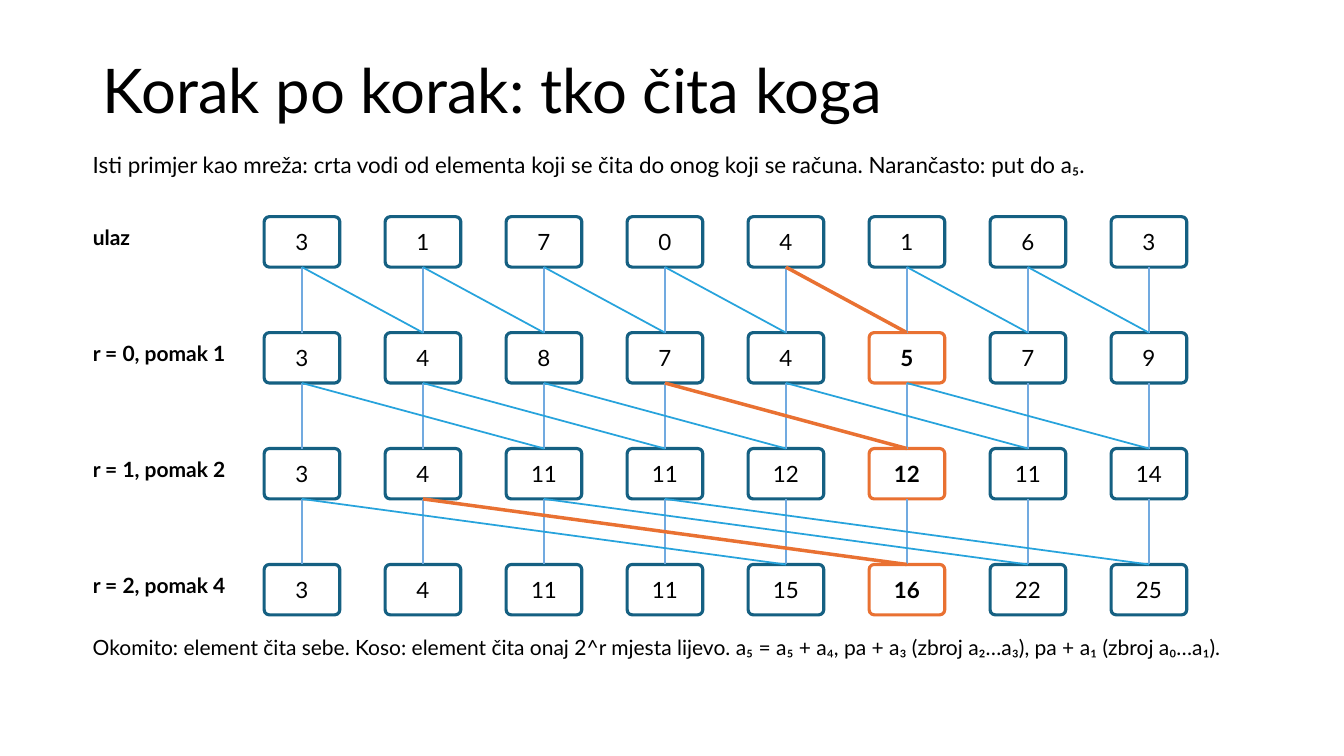
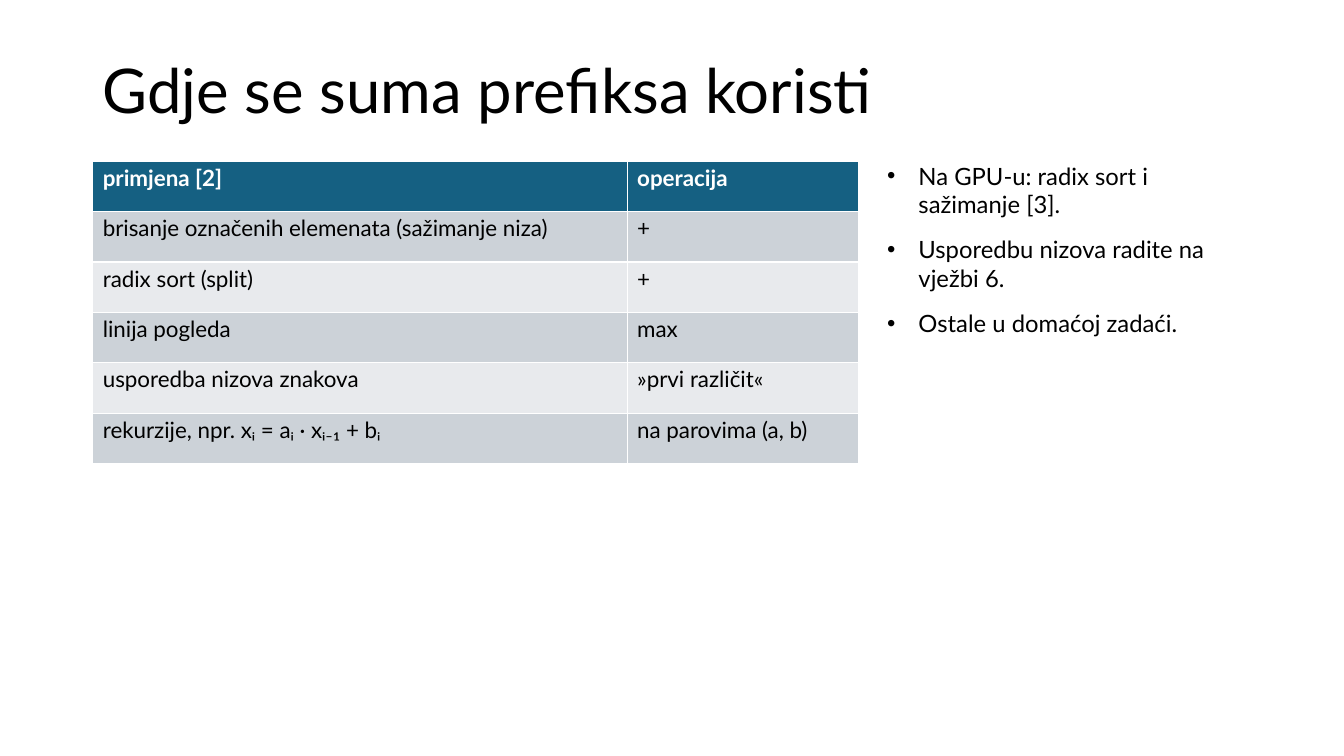
from dataclasses import dataclass

from lxml.etree import SubElement
from pptx import Presentation
from pptx.dml.color import RGBColor
from pptx.enum.shapes import MSO_CONNECTOR, MSO_SHAPE
from pptx.enum.text import MSO_ANCHOR, PP_ALIGN
from pptx.oxml.ns import qn
from pptx.util import Inches, Pt

COLORS = {
    "text": "000000", "white": "FFFFFF", "node": "156082", "path": "E97132",
    "self": "71AAE0", "read": "27A3DC", "band_dark": "CCD2D8", "band_light": "E8EAED",
}
FONT = "Lato"
LEFT, WIDTH = 0.92, 11.5
NO_INSETS = (0, 0, 0, 0)
TITLE_INSETS = (0.1, 0.05, 0.1, 0.05)
NODE_INSETS = (0.03, 0.05, 0.03, 0.05)
CELL_INSETS = (0.1, 0.03, 0.1, 0.03)

INPUT = [3, 1, 7, 0, 4, 1, 6, 3]
STEPS = 3
TARGET = 5  # column whose reads are highlighted

USES = [
    ("primjena [2]", "operacija"),
    ("brisanje označenih elemenata (sažimanje niza)", "+"),
    ("radix sort (split)", "+"),
    ("linija pogleda", "max"),
    ("usporedba nizova znakova", "»prvi različit«"),
    ("rekurzije, npr. xᵢ = aᵢ · xᵢ₋₁ + bᵢ", "na parovima (a, b)"),
]
BULLETS = [
    "Na GPU-u: radix sort i sažimanje [3].",
    "Usporedbu nizova radite na vježbi 6.",
    "Ostale u domaćoj zadaći.",
]


@dataclass(frozen=True)
class Grid:
    left: float = 2.62
    top: float = 2.15
    col_step: float = 1.2
    row_step: float = 1.15
    node_w: float = 0.75
    node_h: float = 0.5

    def x(self, col: int) -> float:
        return self.left + col * self.col_step

    def y(self, row: int) -> float:
        return self.top + row * self.row_step

    def center(self, col: int) -> float:
        return self.x(col) + self.node_w / 2


@dataclass(frozen=True)
class Stroke:
    color: str
    width: float


NODE = Stroke("node", 2.25)
PATH_NODE = Stroke("path", 2.25)
SELF = Stroke("self", 1)
READ = Stroke("read", 1.25)
PATH_READ = Stroke("path", 2.5)
GRID = Grid()


def rgb(name: str) -> RGBColor:
    return RGBColor.from_string(COLORS[name])


def set_insets(target, insets: tuple) -> None:
    for side, value in zip(("left", "top", "right", "bottom"), insets):
        setattr(target, f"margin_{side}", Inches(value))


def set_stroke(line, stroke: Stroke) -> None:
    line.color.rgb = rgb(stroke.color)
    line.width = Pt(stroke.width)


def write(p, text: str, size: float, color: str = "text", bold: bool = False) -> None:
    r = p.add_run()
    r.text = text
    for name, value in {"name": FONT, "size": Pt(size), "bold": bold}.items():
        setattr(r.font, name, value)
    r.font.color.rgb = rgb(color)


def add_frame(slide, x: float, y: float, w: float, h: float, insets: tuple = NO_INSETS):
    tf = slide.shapes.add_textbox(*map(Inches, (x, y, w, h))).text_frame
    tf.word_wrap = True
    set_insets(tf, insets)
    return tf


def add_label(slide, text: str, y: float, w: float, h: float, size: float,
              bold: bool = False) -> None:
    write(add_frame(slide, LEFT, y, w, h).paragraphs[0], text, size, bold=bold)


def add_titled_slide(prs, title: str):
    slide = prs.slides.add_slide(prs.slide_layouts[6])
    tf = add_frame(slide, LEFT, 0.4, WIDTH, 1.06, TITLE_INSETS)
    tf.vertical_anchor = MSO_ANCHOR.MIDDLE
    tf.paragraphs[0].line_spacing = 0.9
    write(tf.paragraphs[0], title, 44)
    return slide


def add_node(slide, col: int, row: int, value: int) -> None:
    on_path = row > 0 and col == TARGET
    box = (GRID.x(col), GRID.y(row), GRID.node_w, GRID.node_h)
    sp = slide.shapes.add_shape(MSO_SHAPE.ROUNDED_RECTANGLE, *map(Inches, box))
    sp.adjustments[0] = 0.1
    sp.shadow.inherit = False
    sp.fill.solid()
    sp.fill.fore_color.rgb = rgb("white")
    set_stroke(sp.line, PATH_NODE if on_path else NODE)
    tf = sp.text_frame
    tf.vertical_anchor = MSO_ANCHOR.MIDDLE
    set_insets(tf, NODE_INSETS)
    tf.paragraphs[0].alignment = PP_ALIGN.CENTER
    write(tf.paragraphs[0], str(value), 16, bold=on_path)


def add_edge(slide, source: int, col: int, row: int, stroke: Stroke) -> None:
    """Join a node of the row above to a node of this row."""
    ends = (GRID.center(source), GRID.y(row - 1) + GRID.node_h, GRID.center(col), GRID.y(row))
    line = slide.shapes.add_connector(MSO_CONNECTOR.STRAIGHT, *map(Inches, ends))
    set_stroke(line.line, stroke)
    SubElement(line._element.spPr, qn("a:effectLst"))


def scan_step(values: list[int], shift: int) -> list[int]:
    """Add to each element the one that stands shift places to its left."""
    return [v + (values[i - shift] if i >= shift else 0) for i, v in enumerate(values)]


def add_scan_row(slide, row: int, label: str, values: list[int]) -> None:
    add_label(slide, label, GRID.y(row) + 0.08, 1.65, 0.4, 15, bold=True)
    for col, value in enumerate(values):
        add_node(slide, col, row, value)


def add_reads(slide, row: int, shift: int) -> None:
    for col in range(len(INPUT)):
        add_edge(slide, col, col, row, SELF)
        if col >= shift:
            add_edge(slide, col - shift, col, row, PATH_READ if col == TARGET else READ)


def build_network(prs) -> None:
    slide = add_titled_slide(prs, "Korak po korak: tko čita koga")
    add_label(slide, "Isti primjer kao mreža: crta vodi od elementa koji se čita do onog "
              "koji se računa. Narančasto: put do a₅.", 1.5, WIDTH, 0.5, 16)
    values = INPUT
    add_scan_row(slide, 0, "ulaz", values)
    for step in range(STEPS):
        shift = 2 ** step
        values = scan_step(values, shift)
        add_scan_row(slide, step + 1, f"r = {step}, pomak {shift}", values)
        add_reads(slide, step + 1, shift)
    add_label(slide, "Okomito: element čita sebe. Koso: element čita onaj 2^r mjesta lijevo. "
              "a₅ = a₅ + a₄, pa + a₃ (zbroj a₂…a₃), pa + a₁ (zbroj a₀…a₁).",
              6.3, WIDTH, 0.6, 15)


def add_uses_table(slide) -> None:
    col_widths, row_height = (5.3, 2.3), 0.5
    box = (LEFT, 1.6, sum(col_widths), row_height * len(USES))
    table = slide.shapes.add_table(len(USES), len(col_widths), *map(Inches, box)).table
    for column, width in zip(table.columns, col_widths):
        column.width = Inches(width)
    for i, row in enumerate(USES):
        header = i == 0
        fill = "node" if header else ("band_light", "band_dark")[i % 2]
        for j, text in enumerate(row):
            cell = table.cell(i, j)
            cell.fill.solid()
            cell.fill.fore_color.rgb = rgb(fill)
            set_insets(cell, CELL_INSETS)
            write(cell.text_frame.paragraphs[0], text, 16, "white" if header else "text", header)


def add_bullets(slide) -> None:
    tf = add_frame(slide, 8.8, 1.6, 3.6, 4.6)
    indent = Inches(0.31)
    for i, text in enumerate(BULLETS):
        p = tf.add_paragraph() if i else tf.paragraphs[0]
        p.space_after = Pt(12)
        pPr = p._p.get_or_add_pPr()
        for name, value in {"marL": indent, "indent": -indent}.items():
            pPr.set(name, str(value))
        SubElement(pPr, qn("a:buFont"), typeface="Arial")
        SubElement(pPr, qn("a:buChar"), char="•")
        write(p, text, 17)


def build_uses(prs) -> None:
    slide = add_titled_slide(prs, "Gdje se suma prefiksa koristi")
    add_uses_table(slide)
    add_bullets(slide)


def main() -> None:
    prs = Presentation()
    prs.slide_width, prs.slide_height = Inches(13.33), Inches(7.5)
    build_network(prs)
    build_uses(prs)
    prs.save("out.pptx")


if __name__ == "__main__":
    main()
